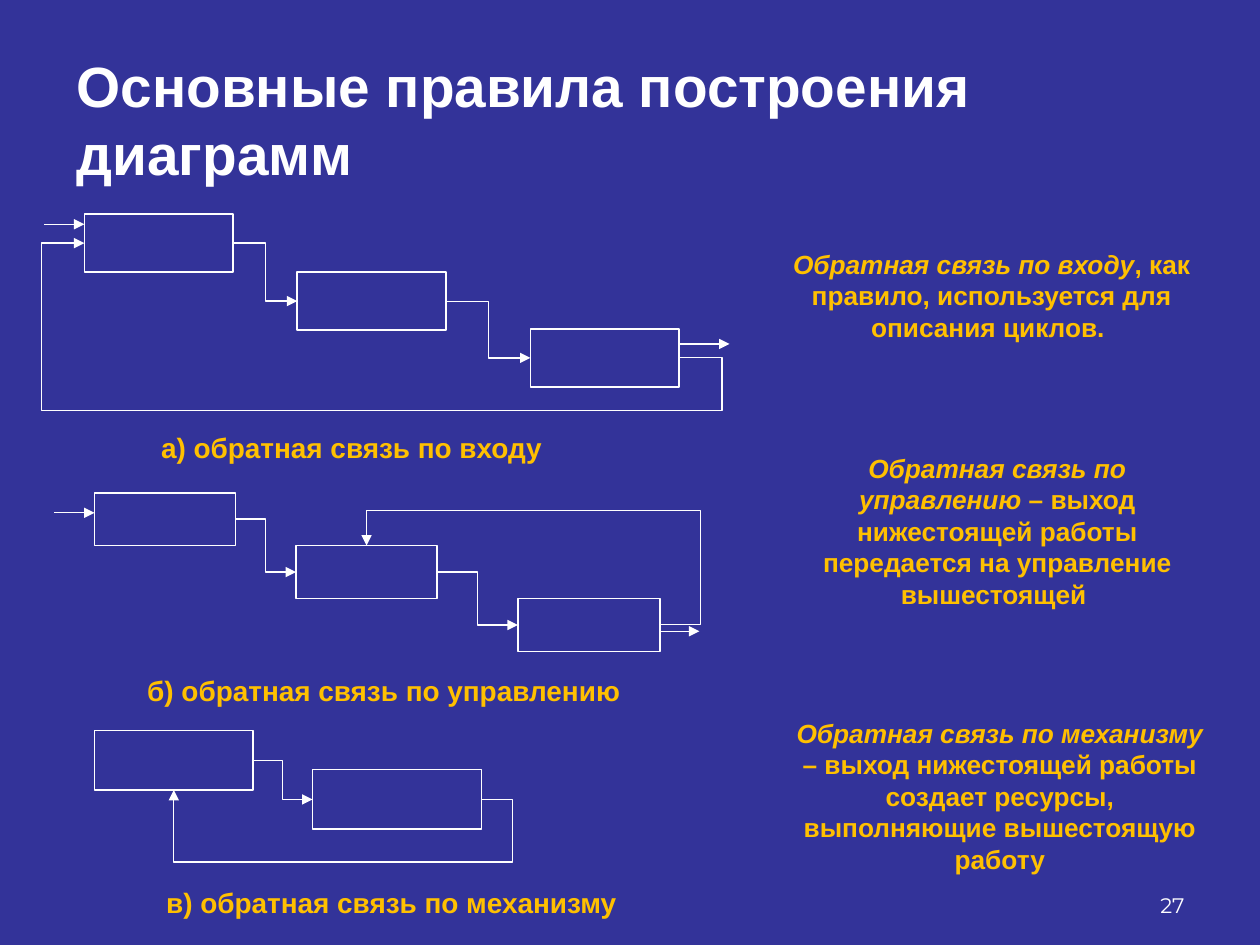
from lxml import etree
from pptx import Presentation
from pptx import util as u
from pptx.dml.color import RGBColor
from pptx.enum import shapes, text
from pptx.oxml.ns import qn

Inches = u.Inches
COLORS = {"background": "333399", "line": "FFFFFF", "title": "FFFFFF", "accent": "FFC000"}
TOP, LEFT, BOTTOM, RIGHT = range(4)

presentation = Presentation()
presentation.slide_width, presentation.slide_height = Inches(10), Inches(7.5)
slide = presentation.slides.add_slide(presentation.slide_layouts[6])
slide.background.fill.solid()
slide.background.fill.fore_color.rgb = RGBColor.from_string(COLORS["background"])


def add_text(box, runs, color, size, align="LEFT", anchor="TOP", font="Arial", bold=True):
    """Add a one-paragraph text box; runs are (text, italic) pairs."""
    frame = slide.shapes.add_textbox(*map(Inches, box)).text_frame
    frame.word_wrap = True
    frame.vertical_anchor = text.MSO_ANCHOR[anchor]
    paragraph = frame.paragraphs[0]
    paragraph.alignment = text.PP_ALIGN[align]
    for words, italic in runs:
        run = paragraph.add_run()
        run.text = words
        formats = {"name": font, "size": u.Pt(size), "bold": bold, "italic": italic}
        for name, value in formats.items():
            setattr(run.font, name, value)
        run.font.color.rgb = RGBColor.from_string(COLORS[color])


def add_arrow(kind, start=(0, 0), end=(0, 0), joins=None):
    """Draw an arrow between points, or between the (shape, side) pairs in joins."""
    arrow = slide.shapes.add_connector(kind, *map(Inches, start + end))
    if joins:
        arrow.begin_connect(*joins[0])
        arrow.end_connect(*joins[1])
    arrow.line.color.rgb = RGBColor.from_string(COLORS["line"])
    arrow.line.width = u.Pt(0.75)
    etree.SubElement(arrow.line._get_or_add_ln(), qn("a:tailEnd"), type="triangle")
    etree.SubElement(arrow._element.spPr, qn("a:effectLst"))
    return arrow


add_text((0.51, 0.5, 8.99, 0.89), [("Основные правила построения диаграмм", False)],
         "title", 32.4, anchor="MIDDLE")

# Each diagram: boxes, outline width, side the feedback enters,
# and the outermost x and y that the feedback line reaches
diagrams = [
    ([(0.67, 1.7, 1.18, 0.46), (2.36, 2.16, 1.18, 0.46), (4.21, 2.61, 1.18, 0.46)],
     1, 0, LEFT, 5.73, 3.26),
    ([(0.75, 3.91, 1.12, 0.42), (2.35, 4.33, 1.12, 0.42), (4.11, 4.75, 1.13, 0.42)],
     1, 1, TOP, 5.56, 4.05),
    ([(0.75, 5.8, 1.26, 0.47), (2.48, 6.11, 1.34, 0.47)],
     0.75, 0, BOTTOM, 4.07, 6.84),
]
for boxes, outline, target, side, far_x, far_y in diagrams:
    works = []
    for box in boxes:
        work = slide.shapes.add_shape(shapes.MSO_SHAPE.RECTANGLE, *map(Inches, box))
        work.shadow.inherit = False
        work.fill.background()
        work.line.color.rgb = RGBColor.from_string(COLORS["line"])
        work.line.width = u.Pt(outline)
        works.append(work)
    for upper, lower in zip(works, works[1:]):
        add_arrow(shapes.MSO_CONNECTOR.ELBOW, joins=[(upper, RIGHT), (lower, LEFT)])

    feedback = add_arrow(shapes.MSO_CONNECTOR.ELBOW,
                         joins=[(works[-1], RIGHT), (works[target], side)])
    across = (Inches(far_x) - feedback.begin_x) / (feedback.end_x - feedback.begin_x)
    along = (Inches(far_y) - feedback.begin_y) / (feedback.end_y - feedback.begin_y)
    bends = [across, along]
    if side == LEFT:
        bends.append(1 - across)
    geometry = feedback._element.spPr.find(qn("a:prstGeom"))
    geometry.set("prst", f"bentConnector{len(bends) + 2}")
    guides = geometry.find(qn("a:avLst"))
    for number, bend in enumerate(bends, 1):
        etree.SubElement(guides, qn("a:gd"), name=f"adj{number}",
                         fmla=f"val {round(bend * 100000)}")

# Outer inputs and outputs
for x1, x2, y in [(5.39, 5.79, 2.73), (0.35, 0.67, 1.78), (0.43, 0.75, 4.07), (5.24, 5.55, 5.01)]:
    add_arrow(shapes.MSO_CONNECTOR.STRAIGHT, (x1, y), (x2, y))

captions = [
    ((1.18, 3.37, 4.06, 0.46), "а) обратная связь по входу"),
    ((1.07, 5.3, 4.48, 0.42), "б) обратная связь по управлению"),
    ((1.22, 6.98, 4.49, 0.37), "в) обратная связь по механизму"),
]
for box, caption in captions:
    add_text(box, [(caption, False)], "accent", 16)

descriptions = [
    ((6.1, 1.92, 3.54, 0.86), "Обратная связь по входу",
     ", как правило, используется для описания циклов. "),
    ((6.18, 3.54, 3.47, 1.36), "Обратная связь по управлению",
     " – выход нижестоящей работы передается на управление вышестоящей "),
    ((6.2, 5.64, 3.47, 1.36), "Обратная связь по механизму",
     " – выход нижестоящей работы создает ресурсы, выполняющие вышестоящую работу"),
]
for box, term, meaning in descriptions:
    add_text(box, [(term, True), (meaning, False)], "accent", 15, align="CENTER")

add_text((7.17, 6.83, 2.33, 0.5), [("27", False)], "title", 12,
         align="RIGHT", anchor="BOTTOM", font="Montserrat", bold=False)

presentation.save("out.pptx")
